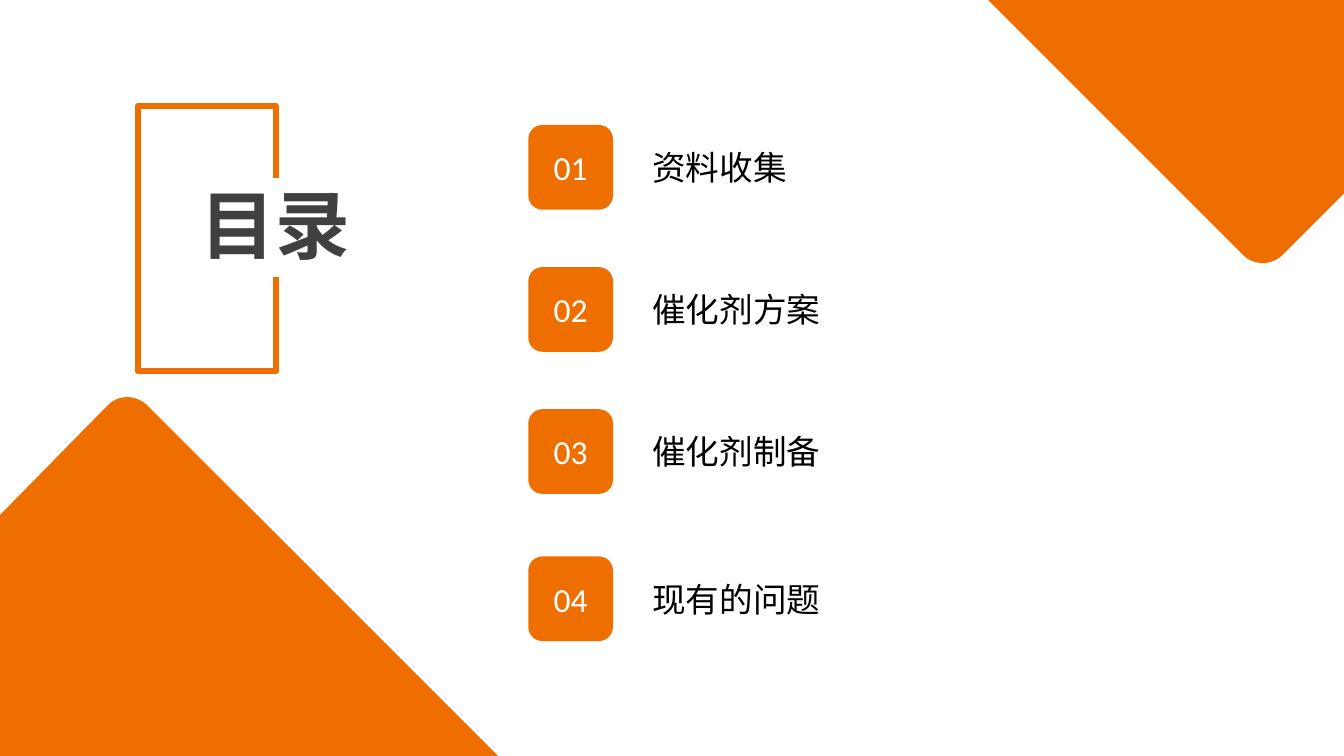
from pptx import Presentation
from pptx.dml.color import RGBColor
from pptx.enum.shapes import MSO_SHAPE
from pptx.enum.text import MSO_ANCHOR, PP_ALIGN
from pptx.util import Inches, Pt

TITLE = "目录"
# number, label, top of the tile
ITEMS = [
    ("01", "资料收集", 1.24),
    ("02", "催化剂方案", 2.65),
    ("03", "催化剂制备", 4.06),
    ("04", "现有的问题", 5.52),
]
THEME = {
    "font": "Calibri",
    "accent": RGBColor(0xEF, 0x6E, 0x00),
    "title": RGBColor(0x40, 0x40, 0x40),
    "text": RGBColor(0, 0, 0),
    "on_accent": RGBColor(255, 255, 255),
    "title_size": 53.4,
    "item_size": 24,
    "frame_line": 4.5,
}
WIDTH, HEIGHT = 13.33, 7.5
TILE_LEFT, TILE = 5.24, 0.84
LABEL_LEFT, LABEL_HEIGHT = 6.37, 0.5
PADDING = 0.1
FRAME = [(2.74, 2.75), (2.74, 3.68), (1.37, 3.68), (1.37, 1.05), (2.74, 1.05), (2.74, 1.77)]
# points before the rounded tip, Bezier points of the tip, points after it
CORNERS = [
    ([(9.8, 0)],
     [(12.32, 2.52), (12.43, 2.64), (12.62, 2.64), (12.73, 2.52)],
     [(WIDTH, 1.92), (WIDTH, 0)]),
    ([(0, HEIGHT), (0, 5.11)],
     [(1.06, 4.03), (1.17, 3.91), (1.35, 3.91), (1.47, 4.03)],
     [(4.94, HEIGHT)]),
]


def bezier(points, steps=16):
    """Return points along a cubic Bezier curve."""
    curve = []
    for i in range(steps + 1):
        t = i / steps
        weights = ((1 - t) ** 3, 3 * t * (1 - t) ** 2, 3 * t * t * (1 - t), t ** 3)
        curve.append(tuple(sum(w * p[axis] for w, p in zip(weights, points))
                           for axis in (0, 1)))
    return curve


def add_outline(s, points, close):
    start, *rest = [(Inches(x), Inches(y)) for x, y in points]
    builder = s.shapes.build_freeform(*start)
    builder.add_line_segments(rest, close=close)
    sp = builder.convert_to_shape()
    sp.shadow.inherit = False
    return sp


def fill_accent(sp):
    sp.fill.solid()
    sp.fill.fore_color.rgb = THEME["accent"]
    sp.line.fill.background()


def write(sp, text, size, color, align=PP_ALIGN.LEFT, anchor=MSO_ANCHOR.MIDDLE, bold=False):
    tf = sp.text_frame
    tf.word_wrap = False
    tf.vertical_anchor = anchor
    p = tf.paragraphs[0]
    p.alignment = align
    r = p.add_run()
    r.text = text
    r.font.name = THEME["font"]
    r.font.size = Pt(size)
    r.font.bold = bold
    r.font.color.rgb = color


def add_title(s):
    sp = s.shapes.add_textbox(Inches(1.89), Inches(1.72), Inches(1.69), Inches(1.9))
    write(sp, TITLE, THEME["title_size"], THEME["title"], anchor=MSO_ANCHOR.TOP, bold=True)
    frame = add_outline(s, FRAME, close=False)
    frame.fill.background()
    frame.line.color.rgb = THEME["accent"]
    frame.line.width = Pt(THEME["frame_line"])


def add_item(s, number, label, top):
    size = THEME["item_size"]
    tile = s.shapes.add_shape(MSO_SHAPE.ROUNDED_RECTANGLE, Inches(TILE_LEFT), Inches(top),
                              Inches(TILE), Inches(TILE))
    tile.shadow.inherit = False
    fill_accent(tile)
    write(tile, number, size, THEME["on_accent"], PP_ALIGN.CENTER)

    width = len(label) * size / 72 + 2 * PADDING
    label_top = top + (TILE - LABEL_HEIGHT) / 2
    sp = s.shapes.add_textbox(Inches(LABEL_LEFT), Inches(label_top),
                              Inches(width), Inches(LABEL_HEIGHT))
    write(sp, label, size, THEME["text"])


def main():
    prs = Presentation()
    prs.slide_width, prs.slide_height = Inches(WIDTH), Inches(HEIGHT)
    s = prs.slides.add_slide(prs.slide_layouts[6])
    add_title(s)
    for before, tip, after in CORNERS:
        fill_accent(add_outline(s, before + bezier(tip) + after, close=True))
    for item in ITEMS:
        add_item(s, *item)
    prs.save("out.pptx")


if __name__ == "__main__":
    main()
